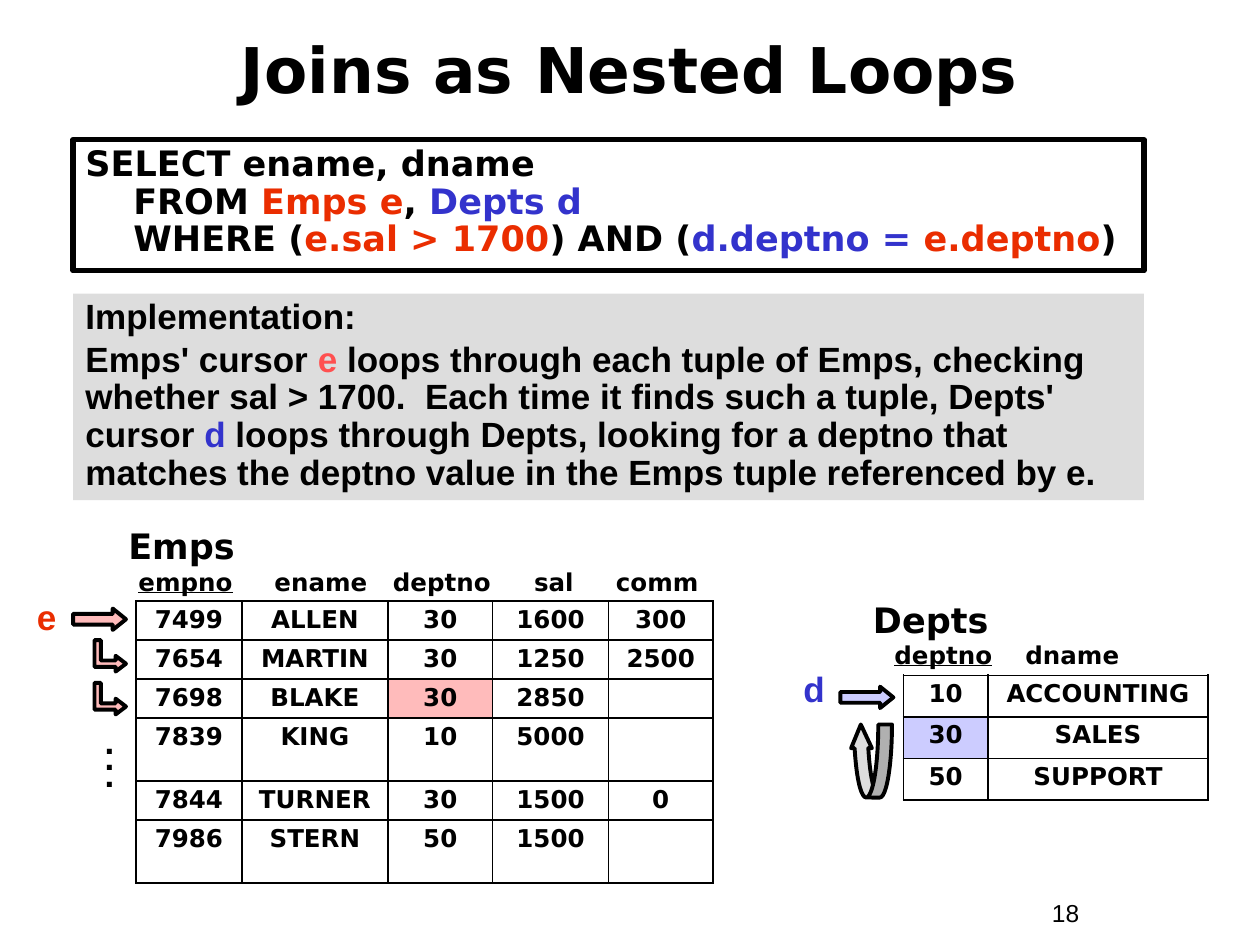
"""Build the slide that explains joins as nested loops."""
from lxml.etree import SubElement
from pptx import Presentation
from pptx.dml.color import RGBColor
from pptx.enum.shapes import MSO_SHAPE as SHAPE
from pptx.enum.text import MSO_ANCHOR as ANCHOR, MSO_AUTO_SIZE as AUTO, PP_ALIGN as ALIGN
from pptx.oxml.ns import qn
from pptx.util import Inches, Pt

BLACK = RGBColor(0x00, 0x00, 0x00)
RED = RGBColor(0xEA, 0x2D, 0x00)
CORAL = RGBColor(0xFF, 0x50, 0x50)
BLUE = RGBColor(0x33, 0x33, 0xCC)
PINK = RGBColor(0xFF, 0xBB, 0xBB)
LILAC = RGBColor(0xCC, 0xCC, 0xFF)
GRAY = RGBColor(0xDD, 0xDD, 0xDD)
SANS, ARIAL = "DejaVu Sans", "Arial"

TITLE = "Joins as Nested Loops"
QUERY = [
    [("SELECT ename, dname", BLACK)],
    [("FROM ", BLACK), ("Emps e", RED), (", ", BLACK), ("Depts d", BLUE)],
    [("WHERE (", BLACK), ("e.sal > 1700", RED), (") AND (", BLACK),
     ("d.deptno = ", BLUE), ("e.deptno", RED), (")", BLACK)],
]
IMPLEMENTATION = [
    [("Implementation:", BLACK)],
    [("Emps' cursor ", BLACK), ("e", CORAL),
     (" loops through each tuple of Emps, checking whether sal > 1700.  "
      "Each time it finds such a tuple, Depts' cursor ", BLACK), ("d", BLUE),
     (" loops through Depts, looking for a deptno that matches the deptno "
      "value in the Emps tuple referenced by e.", BLACK)],
]
EMPS = [
    ("7499", "ALLEN", "30", "1600", "300"),
    ("7654", "MARTIN", "30", "1250", "2500"),
    ("7698", "BLAKE", "30", "2850", ""),
    ("7839", "KING", "10", "5000", ""),
    ("7844", "TURNER", "30", "1500", "0"),
    ("7986", "STERN", "50", "1500", ""),
]
DEPTS = [("10", "ACCOUNTING"), ("30", "SALES"), ("50", "SUPPORT")]
TABLES = [
    (EMPS, 1.08, 4.77, (0.84, 1.16, 0.83, 0.92, 0.83),
     (0.31, 0.31, 0.31, 0.5, 0.31, 0.5), (2, 2), PINK),
    (DEPTS, 7.17, 5.36, (0.67, 1.75), (0.33,) * 3, (1, 0), LILAC),
]
HEADINGS = [
    ((1, 4.45, 4.75, 0.34), (1.08, 2.02, 3.14, 3.79),
     [("empno", True), ("\tename\tdeptno\tsal\tcomm", False)]),
    ((7, 5.03, 2.5, 0.34), (1.04, 1.92),
     [("deptno", True), ("\tdname", False), ("\t", True)]),
]
LABELS = [
    ("Emps", (0.92, 4.11, 2.33, 0.44), 20, SANS, True, BLACK, ALIGN.LEFT, 1),
    ("Depts", (6.83, 4.7, 2.15, 0.44), 20, SANS, True, BLACK, ALIGN.LEFT, 1),
    ("e", (0.08, 4.73, 0.58, 0.39), 20, ARIAL, True, RED, ALIGN.CENTER, 0.85),
    ("d", (6.17, 5.3, 0.58, 0.39), 20, ARIAL, True, BLUE, ALIGN.CENTER, 0.85),
    (".\v.\v.", (0.67, 5.83, 0.4, 0.5), 20, ARIAL, True, BLACK, ALIGN.CENTER, 0.4),
    ("18", (8.25, 7.08, 0.92, 0.34), 14, ARIAL, False, BLACK, ALIGN.LEFT, 1),
]
ARROWS = [
    (SHAPE.RIGHT_ARROW, (0.58, 4.83, 0.42, 0.17), (0.5, 0.62), 0, PINK),
    (SHAPE.RIGHT_ARROW, (6.67, 5.45, 0.42, 0.17), (0.5, 0.62), 0, LILAC),
    (SHAPE.BENT_UP_ARROW, (0.75, 5.08, 0.25, 0.25), (0.2, 0.25, 0.33), 90, PINK),
    (SHAPE.BENT_UP_ARROW, (0.75, 5.42, 0.25, 0.25), (0.2, 0.25, 0.33), 90, PINK),
    (SHAPE.CURVED_UP_ARROW, (6.75, 5.75, 0.33, 0.58), (0.33, 0.5, 0.57), 0, GRAY),
]


def inches(box):
    return [Inches(v) for v in box]


def style(p, size, name, bold=True, color=BLACK, align=ALIGN.LEFT, spacing=1):
    p.alignment, p.line_spacing = align, spacing
    p.font.size, p.font.name, p.font.bold = Pt(size), name, bold
    p.font.color.rgb = color


def add_runs(p, runs):
    for text, color in runs:
        r = p.add_run()
        r.text, r.font.color.rgb = text, color


def add_shape(slide, kind, box, fill=None, line=None):
    sp = slide.shapes.add_shape(kind, *inches(box))
    sp.shadow.inherit = False
    if fill is None:
        sp.fill.background()
    else:
        sp.fill.solid()
        sp.fill.fore_color.rgb = fill
    if line is None:
        sp.line.fill.background()
    else:
        sp.line.color.rgb, sp.line.width = BLACK, Pt(line)
    return sp


def add_text(slide, box):
    tf = slide.shapes.add_textbox(*inches(box)).text_frame
    tf.word_wrap = True
    return tf.paragraphs[0]


def add_query(slide):
    tf = add_shape(slide, SHAPE.RECTANGLE, (0.58, 1.11, 8.5, 1.04), line=3).text_frame
    tf.word_wrap, tf.vertical_anchor = True, ANCHOR.TOP
    p = tf.paragraphs[0]
    for i, runs in enumerate(QUERY):
        if i:
            p.add_line_break()
        add_runs(p, runs)
    style(p, 20, SANS, spacing=0.9)
    pPr = p._p.get_or_add_pPr()
    pPr.set("marL", str(Inches(0.38)))
    pPr.set("indent", str(-Inches(0.38)))


def add_implementation(slide):
    tf = add_shape(slide, SHAPE.RECTANGLE, (0.58, 2.33, 8.5, 1.64), GRAY).text_frame
    tf.word_wrap, tf.vertical_anchor = True, ANCHOR.TOP
    for i, runs in enumerate(IMPLEMENTATION):
        p = tf.add_paragraph() if i else tf.paragraphs[0]
        add_runs(p, runs)
        style(p, 20, ARIAL, spacing=0.9)
        if i:
            p.space_before = Pt(2.5)


def add_borders(cell):
    tcPr = cell._tc.get_or_add_tcPr()
    for side in ("lnL", "lnR", "lnT", "lnB"):
        ln = SubElement(tcPr, qn(f"a:{side}"), w=str(Pt(1.08)))
        SubElement(SubElement(ln, qn("a:solidFill")), qn("a:srgbClr"), val=str(BLACK))


def add_table(slide, rows, left, top, widths, heights, marked, color):
    box = inches((left, top, sum(widths), sum(heights)))
    table = slide.shapes.add_table(len(rows), len(widths), *box).table
    table.first_row = table.horz_banding = False
    for column, width in zip(table.columns, widths):
        column.width = Inches(width)
    for i, (row, height) in enumerate(zip(rows, heights)):
        table.rows[i].height = Inches(height)
        for j, value in enumerate(row):
            cell = table.cell(i, j)
            cell.text = value
            cell.margin_top = cell.margin_bottom = Inches(0.05 if value else 0)
            style(cell.text_frame.paragraphs[0], 14, SANS, align=ALIGN.CENTER, spacing=0.9)
            add_borders(cell)
            if (i, j) == marked:
                cell.fill.solid()
                cell.fill.fore_color.rgb = color
            else:
                cell.fill.background()


def add_heading(slide, box, stops, runs):
    p = add_text(slide, box)
    tabs = SubElement(p._p.get_or_add_pPr(), qn("a:tabLst"))
    for stop in stops:
        SubElement(tabs, qn("a:tab"), pos=str(Inches(stop)), algn="l")
    for text, underline in runs:
        r = p.add_run()
        r.text, r.font.underline = text, underline
    style(p, 14, SANS)


def main():
    prs = Presentation()
    prs.slide_width, prs.slide_height = Inches(10), Inches(7.5)
    slide = prs.slides.add_slide(prs.slide_layouts[5])
    title = slide.shapes.title
    title.left, title.top, title.width, title.height = inches((0.33, 0.25, 9.33, 0.58))
    tf = title.text_frame
    tf.text, tf.auto_size, tf.vertical_anchor = TITLE, AUTO.NONE, ANCHOR.MIDDLE
    style(tf.paragraphs[0], 36, SANS, align=ALIGN.CENTER)
    add_query(slide)
    add_implementation(slide)
    for table in TABLES:
        add_table(slide, *table)
    for heading in HEADINGS:
        add_heading(slide, *heading)
    for text, box, *look in LABELS:
        p = add_text(slide, box)
        p.text = text
        style(p, *look)
    for kind, box, adjustments, rotation, fill in ARROWS:
        sp = add_shape(slide, kind, box, fill, 2.25)
        sp.rotation = rotation
        for i, value in enumerate(adjustments):
            sp.adjustments[i] = value
        if kind == SHAPE.CURVED_UP_ARROW:
            sp.element.spPr.xfrm.set("flipH", "1")
    prs.save("out.pptx")


if __name__ == "__main__":
    main()
